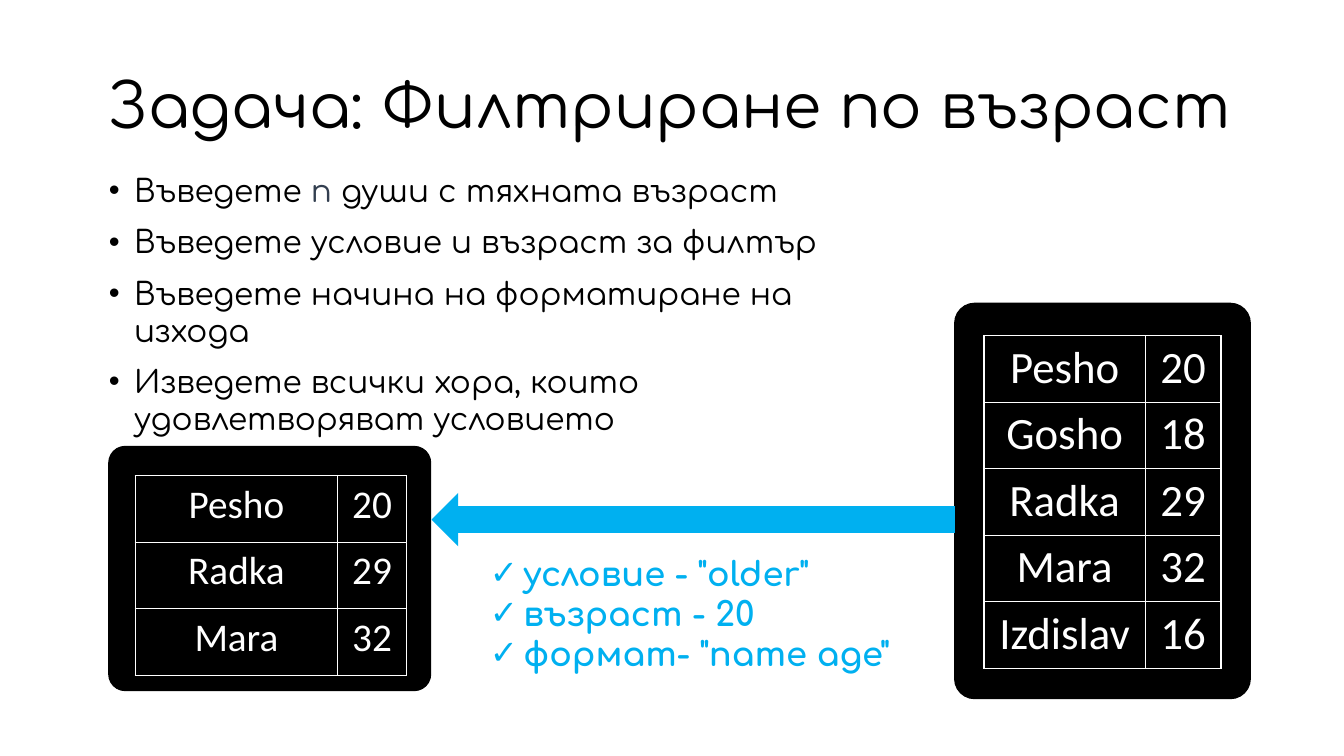
"""Build the slide about filtering people by age."""
import copy
import dataclasses

import lxml.etree
import pptx
import pptx.dml.color
import pptx.enum.shapes
import pptx.enum.text
import pptx.oxml
import pptx.oxml.ns
import pptx.util

EMU_PER_PX = 9144
ROW_HEIGHT = 66


@dataclasses.dataclass(frozen=True)
class Theme:
    """Colours, fonts and type sizes of the slide."""
    ink: str = "000000"
    muted: str = "333F50"
    accent: str = "00B0F0"
    light: str = "FFFFFF"
    text_font: str = "Comfortaa"
    table_font: str = "Calibri"
    title_size: float = 44
    body_size: float = 22.2
    note_size: float = 24
    people_size: float = 32
    result_size: float = 28


def px(value):
    """Turn pixels into EMU."""
    return pptx.util.Emu(value * EMU_PER_PX)


def rgb(color):
    """Turn a hex string into a colour."""
    return pptx.dml.color.RGBColor.from_string(color)


class SlideBuilder:
    """Hold the theme and the slide, and add each kind of element."""

    def __init__(self, slide, theme):
        """Keep the slide and its theme."""
        self.slide = slide
        self.theme = theme

    def place(self, shape, box):
        """Move a shape to a box of left, top, width and height."""
        shape.left, shape.top, shape.width, shape.height = map(px, box)

    def style_runs(self, paragraph, font, size, color, bold=False):
        """Format every run and line break of a paragraph."""
        for run in paragraph.runs:
            run.font.name = font
            run.font.size = pptx.util.Pt(size)
            run.font.bold = bold
            run.font.color.rgb = rgb(color)
        for line_break in paragraph._p.findall(pptx.oxml.ns.qn("a:br")):
            line_break.append(copy.deepcopy(paragraph.runs[0].font._rPr))

    def bullet(self, paragraph, character, indent, color):
        """Give a paragraph a hanging bullet."""
        properties = paragraph._p.get_or_add_pPr()
        properties.set("marL", str(px(indent)))
        properties.set("indent", str(-px(indent)))
        bullet_color = lxml.etree.SubElement(properties, pptx.oxml.ns.qn("a:buClr"))
        lxml.etree.SubElement(bullet_color, pptx.oxml.ns.qn("a:srgbClr"), val=color)
        lxml.etree.SubElement(properties, pptx.oxml.ns.qn("a:buFont"), typeface="Arial")
        lxml.etree.SubElement(properties, pptx.oxml.ns.qn("a:buChar"), char=character)

    def title(self, text, box):
        """Fill the title placeholder."""
        title = self.slide.shapes.title
        self.place(title, box)
        frame = title.text_frame
        frame.text = text
        frame.auto_size = pptx.enum.text.MSO_AUTO_SIZE.NONE
        frame.vertical_anchor = pptx.enum.text.MSO_ANCHOR.MIDDLE
        paragraph = frame.paragraphs[0]
        paragraph.alignment = pptx.enum.text.PP_ALIGN.LEFT
        paragraph.line_spacing = 0.9
        self.style_runs(paragraph, self.theme.text_font, self.theme.title_size, self.theme.ink)

    def body(self, items, box):
        """Fill the body placeholder with bulleted items and return its paragraphs."""
        body = self.slide.placeholders[1]
        self.place(body, box)
        frame = body.text_frame
        frame.text = "\n".join(items)
        frame.auto_size = pptx.enum.text.MSO_AUTO_SIZE.NONE
        for index, paragraph in enumerate(frame.paragraphs):
            self.bullet(paragraph, "•", 25, self.theme.ink)
            paragraph.line_spacing = 1.0
            paragraph.space_before = pptx.util.Pt(10 if index else 0)
            self.style_runs(paragraph, self.theme.text_font, self.theme.body_size, self.theme.ink)
        return frame.paragraphs

    def append_run(self, paragraph, text, color):
        """Continue a body paragraph with a run in another colour."""
        run = paragraph.add_run()
        run.text = text
        run.font.name = self.theme.text_font
        run.font.size = pptx.util.Pt(self.theme.body_size)
        run.font.color.rgb = rgb(color)

    def checklist(self, items, box):
        """Add a text box with ticked items."""
        frame = self.slide.shapes.add_textbox(*map(px, box)).text_frame
        frame.word_wrap = True
        frame.margin_left = frame.margin_right = px(12)
        frame.margin_top = frame.margin_bottom = px(4)
        frame.text = "\n".join(items)
        for paragraph in frame.paragraphs:
            self.bullet(paragraph, "✓", 33, self.theme.accent)
            self.style_runs(paragraph, self.theme.text_font, self.theme.note_size,
                            self.theme.accent, bold=True)

    def shape(self, kind, box, color):
        """Add a filled preset shape without an outline."""
        shape = self.slide.shapes.add_shape(kind, *map(px, box))
        shape.shadow.inherit = False
        shape.fill.solid()
        shape.fill.fore_color.rgb = rgb(color)
        shape.line.fill.background()
        return shape

    def panel(self, box):
        """Add a dark rounded panel."""
        panel = self.shape(pptx.enum.shapes.MSO_SHAPE.ROUNDED_RECTANGLE, box, self.theme.ink)
        panel.adjustments[0] = 0.067
        panel.line.color.rgb = rgb(self.theme.ink)
        panel.line.width = pptx.util.Pt(1)

    def cell_borders(self, cell):
        """Draw thin light lines on all sides of a cell."""
        properties = cell._tc.get_or_add_tcPr()
        for index, side in enumerate(("lnL", "lnR", "lnT", "lnB")):
            properties.insert(index, pptx.oxml.parse_xml(
                f'<a:{side} {pptx.oxml.ns.nsdecls("a")} w="12700"><a:solidFill>'
                f'<a:srgbClr val="{self.theme.light}"/></a:solidFill></a:{side}>'))

    def table(self, rows, left, top, widths, size):
        """Add a dark table of names and ages."""
        box = (left, top, sum(widths), ROW_HEIGHT * len(rows))
        table = self.slide.shapes.add_table(len(rows), len(widths), *map(px, box)).table
        table.first_row = table.horz_banding = False
        for column, width in zip(table.columns, widths):
            column.width = px(width)
        for row, values in zip(table.rows, rows):
            row.height = px(ROW_HEIGHT)
            for cell, value in zip(row.cells, values):
                cell.text = value
                cell.fill.solid()
                cell.fill.fore_color.rgb = rgb(self.theme.ink)
                self.cell_borders(cell)
                paragraph = cell.text_frame.paragraphs[0]
                paragraph.alignment = pptx.enum.text.PP_ALIGN.CENTER
                self.style_runs(paragraph, self.theme.table_font, size, self.theme.light)


def main():
    """Build and save the slide."""
    presentation = pptx.Presentation()
    presentation.slide_width, presentation.slide_height = px(1333), px(750)
    theme = Theme()
    slide = presentation.slides.add_slide(presentation.slide_layouts[1])
    builder = SlideBuilder(slide, theme)

    builder.title("Задача: Филтриране по възраст", (98, 47, 1160, 122))
    paragraphs = builder.body([
        "Въведете ",
        "Въведете условие и възраст за филтър",
        "Въведете начина на форматиране на изхода",
        "Изведете всички хора, които\vудовлетворяват условието",
    ], (98, 165, 820, 262))
    builder.append_run(paragraphs[0], "n ", theme.muted)
    builder.append_run(paragraphs[0], "души с тяхната възраст", theme.ink)

    people = [("Pesho", "20"), ("Gosho", "18"), ("Radka", "29"),
              ("Mara", "32"), ("Izdislav", "16")]
    older = [(name, age) for name, age in people if int(age) >= 20]
    builder.panel((947, 301, 293, 392))
    builder.table(people, 976, 333, (160, 75), theme.people_size)
    builder.checklist(['условие - "older"', "възраст - 20", 'формат- "name age"'],
                      (474, 544, 473, 141))
    builder.panel((108, 443, 319, 242))
    builder.table(older, 134, 472, (201, 68), theme.result_size)
    builder.shape(pptx.enum.shapes.MSO_SHAPE.LEFT_ARROW, (428, 489, 519, 53), theme.accent)

    presentation.save("out.pptx")


if __name__ == "__main__":
    main()
